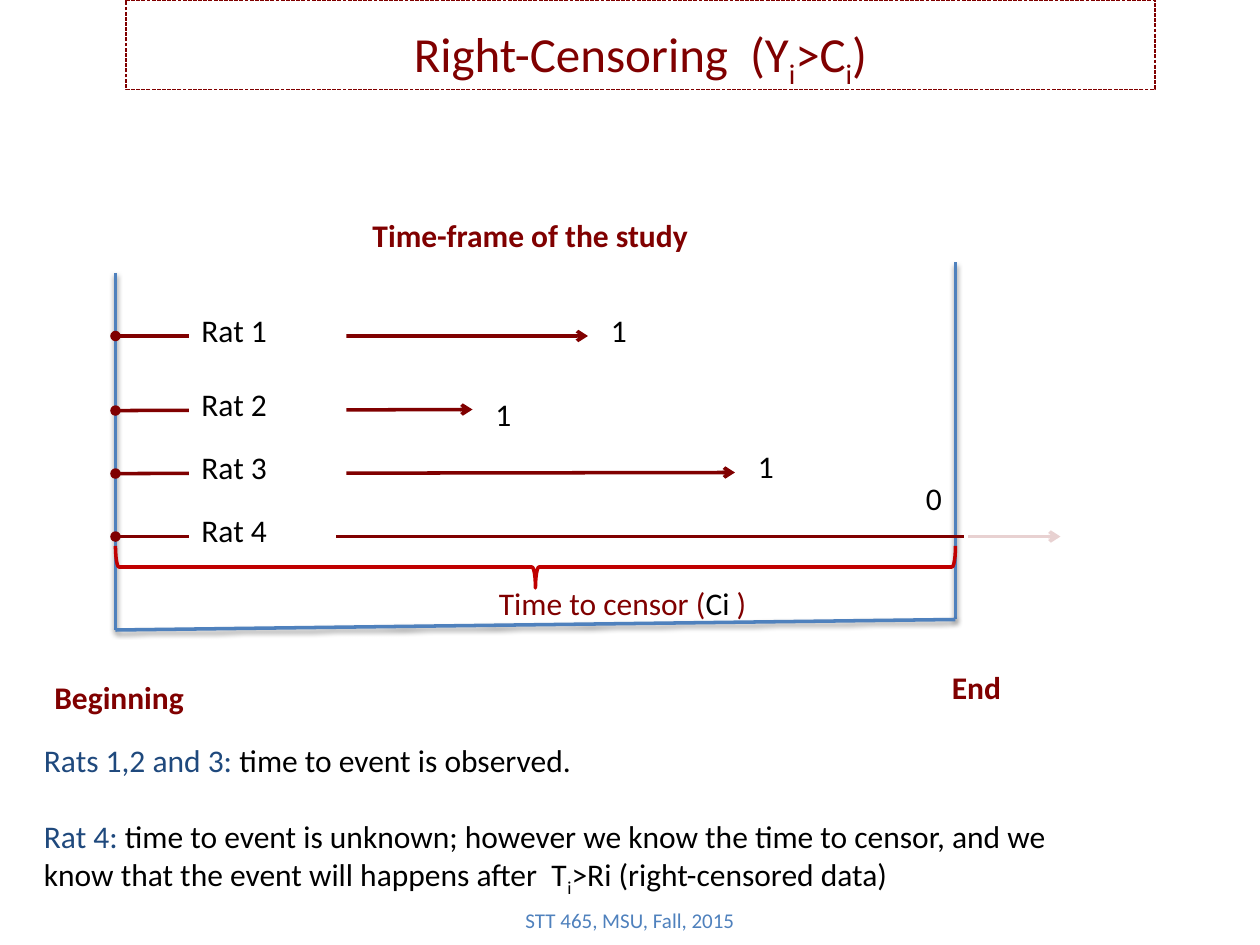
from lxml import etree
from pptx import Presentation
from pptx import util as u
from pptx.dml.color import RGBColor
from pptx.enum import dml, shapes, text
from pptx.oxml import ns

C = {"maroon": "800000", "blue": "4F81BD", "navy": "1F497D", "red": "C00000",
     "black": "000000", "white": "FFFFFF"}
MID, LEFT = text.PP_ALIGN.CENTER, text.PP_ALIGN.LEFT

TITLE = [[("Right-Censoring  (Y", "maroon"), ("i", "maroon", "sub"), (">C", "maroon"),
          ("i", "maroon", "sub"), (")", "maroon")]]
NOTES = [
    [("Rats 1,2 and 3: ", "navy"), ("time to event is observed.", "black")],
    [("Rat 4: ", "navy"),
     ("time to event is unknown; however we know the time to censor, "
      "and we know that the event will happens after  T", "black"),
     ("i", "black", "sub"), (">Ri (right-censored data)", "black")],
]
CENSOR = [[("Time to censor (", "maroon"), ("Ci ", "black"), (")", "maroon")]]
HEADINGS = [
    ("Time-frame of the study", (60, 120, 486, 29), MID),
    ("Beginning", (24, 384, 108, 29), LEFT),
    ("End", (504, 378, 108, 29), MID),
]
START, END = 66, 546
FRAME = [
    ((START, 156), (START, 360)),
    ((END, 150), (END, 354)),
    ((END, 354), (START, 360)),
]
# name, line start y, line end (x, y), label width, status, status (x, y)
RATS = [
    ("Rat 1", 192, (336, 192), 90, "1", (342, 174)),
    ("Rat 2", 234.6, (270, 234), 90, "1", (276, 222)),
    ("Rat 3", 270.6, (420, 270), 90, "1", (426, 252)),
    ("Rat 4", 306.6, (606, 306.6), 84, "0", (522, 270)),
]


def rgb(name):
    return RGBColor.from_string(C[name])


def sub(parent, tag, **attrs):
    return etree.SubElement(parent, ns.qn("a:" + tag), attrs)


def write(sp, paras, size=18, align=LEFT, bold=False, gap=0, anchor=text.MSO_ANCHOR.TOP):
    tf = sp.text_frame
    tf.word_wrap = True
    tf.vertical_anchor = anchor
    for i, runs in enumerate(paras):
        p = tf.add_paragraph() if i else tf.paragraphs[0]
        p.alignment = align
        p.space_before = u.Pt(gap if i else 0)
        for words, color, *low in runs:
            r = p.add_run()
            r.text = words
            r.font.name, r.font.size, r.font.bold = "Calibri", u.Pt(size), bold
            r.font.color.rgb = rgb(color)
            if low:
                r._r.get_or_add_rPr().set("baseline", "-25000")
    return tf


def add_text(parent, box, paras, **style):
    return write(parent.add_textbox(*map(u.Pt, box)), paras, **style)


def add_shape(parent, kind, box, fill=None, line=None, width=2):
    sp = parent.add_shape(kind, *map(u.Pt, box))
    sp.shadow.inherit = False
    if fill:
        sp.fill.solid()
        sp.fill.fore_color.rgb = rgb(fill)
    else:
        sp.fill.background()
    if line:
        sp.line.color.rgb = rgb(line)
        sp.line.width = u.Pt(width)
    else:
        sp.line.fill.background()
    return sp


def add_line(parent, start, end, color):
    cx = parent.add_connector(shapes.MSO_CONNECTOR.STRAIGHT, *map(u.Pt, start + end))
    cx.line.color.rgb = rgb(color)
    cx.line.width = u.Pt(2)
    return cx, sub(cx._element.spPr, "effectLst")


def main():
    prs = Presentation()
    prs.slide_width, prs.slide_height = u.Pt(720), u.Pt(540)
    s = prs.slides.add_slide(prs.slide_layouts[6])
    rect = shapes.MSO_SHAPE.RECTANGLE

    title = add_shape(s.shapes, rect, (72, 0, 588, 51), line="maroon", width=0.75)
    title.line.dash_style = dml.MSO_LINE.SQUARE_DOT
    title.line._ln.find(ns.qn("a:prstDash")).set("val", "sysDash")
    write(title, TITLE, size=28, align=MID).margin_top = u.Pt(13.4)

    for words, box, align in HEADINGS:
        add_text(s.shapes, box, [[(words, "maroon")]], align=align, bold=True)

    for start, end in FRAME:
        cx, effects = add_line(s.shapes, start, end, "blue")
        shadow = sub(effects, "outerShdw", blurRad=str(u.Pt(3.1)), dist=str(u.Pt(1.6)),
                     dir="5400000", rotWithShape="0")
        sub(sub(shadow, "srgbClr", val=C["black"]), "alpha", val="38000")

    add_text(s.shapes, (18, 420, 618, 94), NOTES, gap=22)

    for name, y, end, width, status, (sx, sy) in RATS:
        grp = s.shapes.add_group_shape().shapes
        cx, effects = add_line(grp, (START, y), end, "maroon")
        sub(cx.line._ln, "headEnd", type="oval")
        sub(cx.line._ln, "tailEnd", type="arrow")
        label = add_shape(grp, rect, (108, y - 18, width, 29), fill="white")
        write(label, [[(name, "black")]])
        add_text(grp, (sx, sy, 24, 30), [[(status, "black")]])

    grp = s.shapes.add_group_shape().shapes
    brace = add_shape(grp, shapes.MSO_SHAPE.LEFT_BRACE, (294, 84, 24, END - START), line="red")
    brace.rotation = 270
    add_text(grp, (278, 330, 178.5, 29), CENSOR)
    veil = add_shape(grp, rect, (552, 288, 66, 36), fill="white", line="white")
    clr = veil._element.spPr.find(ns.qn("a:solidFill")).find(ns.qn("a:srgbClr"))
    sub(clr, "alpha", val="82000")

    add_text(s.shapes, (246, 511, 228, 29), [[("STT 465, MSU, Fall, 2015", "blue")]],
             size=12, align=MID, anchor=text.MSO_ANCHOR.MIDDLE)
    prs.save("out.pptx")


if __name__ == "__main__":
    main()
